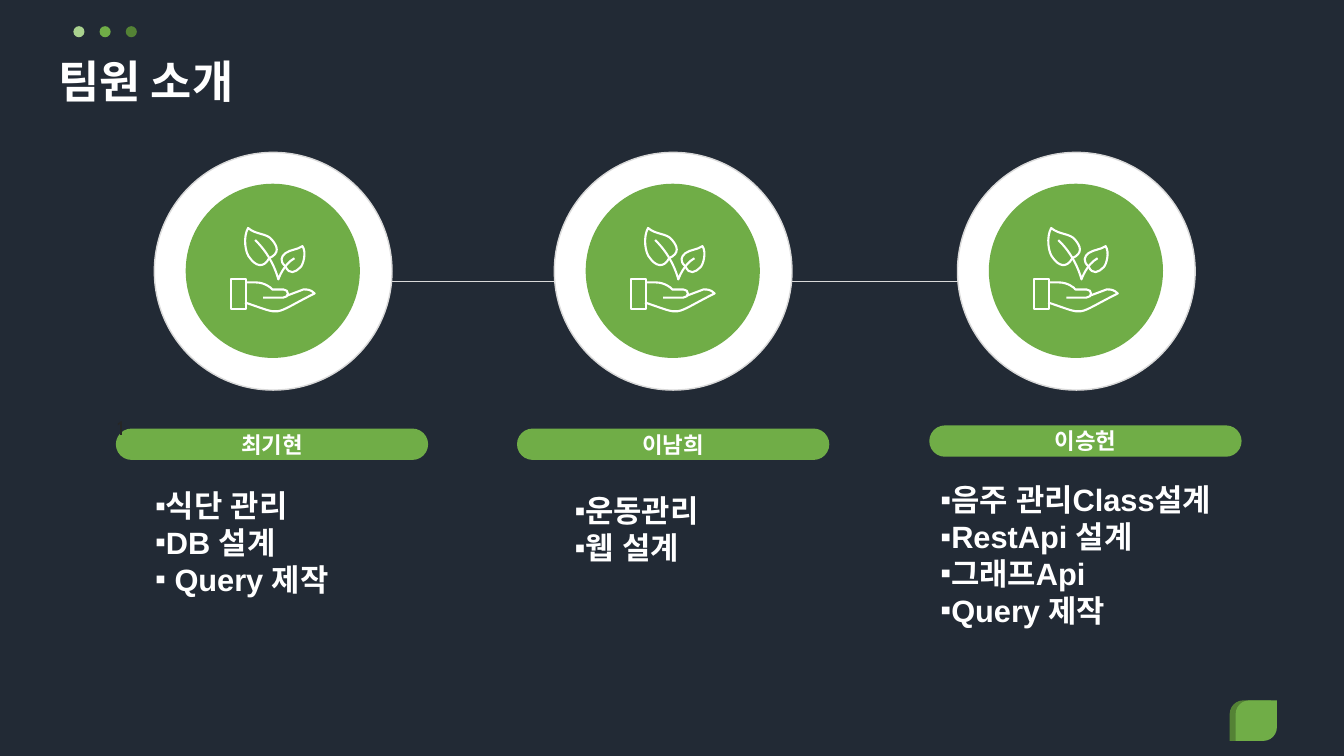
from dataclasses import dataclass

from pptx import Presentation
from pptx.dml.color import RGBColor
from pptx.enum.shapes import MSO_CONNECTOR, MSO_SHAPE
from pptx.enum.text import MSO_ANCHOR, MSO_AUTO_SIZE, PP_ALIGN
from pptx.oxml.ns import qn
from pptx.util import Cm, Pt
from lxml.etree import SubElement


@dataclass(frozen=True)
class Theme:
    back: str = "222A35"
    white: str = "FFFFFF"
    ink: str = "262626"
    pale: str = "A9D18E"
    green: str = "70AD47"
    deep: str = "548235"
    rule: str = "D9D9D9"
    head: str = "Cabin"
    body: str = "Arial"
    title: int = 32
    item: int = 22
    name: int = 16
    mark: int = 14


def write(frame, text, font, size, color, bold=True, align=PP_ALIGN.LEFT,
          anchor=MSO_ANCHOR.TOP, inset=(0, 0), bullet=None, space=None):
    """Fill a text frame, one paragraph per line of text."""
    frame.word_wrap = True
    frame.auto_size = MSO_AUTO_SIZE.NONE
    frame.vertical_anchor = anchor
    frame.margin_left = frame.margin_right = Cm(inset[0])
    frame.margin_top = frame.margin_bottom = Cm(inset[1])
    for i, line in enumerate(text.split("\n")):
        para = frame.add_paragraph() if i else frame.paragraphs[0]
        para.alignment = align
        if space:
            para.line_spacing = space
        if bullet:
            props = para._p.get_or_add_pPr()
            SubElement(props, qn("a:buFont"), typeface=font)
            SubElement(props, qn("a:buChar"), char=bullet)
        run = para.add_run()
        run.text = line
        run.font.name, run.font.size, run.font.bold = font, Pt(size), bold
        run.font.color.rgb = RGBColor.from_string(color)
        SubElement(run.font._element, qn("a:ea"), typeface=font)


def bend(shape):
    """Turn every three line segments into one cubic curve."""
    lines = list(shape._element.iter(qn("a:lnTo")))
    for i in range(0, len(lines), 3):
        curve = lines[i].makeelement(qn("a:cubicBezTo"))
        lines[i].addprevious(curve)
        for line in lines[i:i + 3]:
            curve.append(line[0])
            line.getparent().remove(line)
    return shape


# Icon outlines in hundredths of an inch from the ring corner:
# the start, then two handles and an end for each curve; closed or not
ICON = [
    ([(130, 100), (126, 103), (124, 108), (130, 113),
      (134, 122), (140, 119), (145, 114),
      (148, 111), (151, 99), (147, 93),
      (141, 97), (136, 96), (130, 100)], True),
    ([(117, 87), (122, 93), (125, 100), (114, 105),
      (108, 116), (100, 112), (95, 105),
      (90, 100), (88, 84), (93, 75),
      (101, 82), (112, 80), (117, 87)], True),
    ([(139, 105), (128, 111), (123, 126), (123, 126),
      (123, 126), (118, 104), (100, 87)], False),
    ([(90, 149), (129, 162), (115, 162), (159, 140),
      (155, 136), (152, 136), (148, 136),
      (132, 142), (132, 142), (132, 142)], False),
    ([(90, 129), (101, 129), (101, 129), (101, 129),
      (109, 129), (116, 134), (117, 136),
      (117, 136), (123, 136), (128, 136),
      (134, 136), (134, 144), (128, 144),
      (108, 144), (108, 144), (108, 144)], False),
]


class Page:
    def __init__(self, deck, theme):
        self.theme = theme
        self.slide = deck.slides.add_slide(deck.slide_layouts[5])
        self.shapes = self.slide.shapes
        fill = self.slide.background.fill
        fill.solid()
        fill.fore_color.rgb = RGBColor.from_string(theme.back)

    def paint(self, shape, fill=None, line=None, width=1):
        shape.shadow.inherit = False
        if fill:
            shape.fill.solid()
            shape.fill.fore_color.rgb = RGBColor.from_string(fill)
        else:
            shape.fill.background()
        if line:
            shape.line.color.rgb = RGBColor.from_string(line)
            shape.line.width = Pt(width)
        else:
            shape.line.fill.background()
        return shape

    def shape(self, kind, box, home=None, adjust=(), **look):
        shape = (home or self.shapes).add_shape(kind, *map(Cm, box))
        for i, value in enumerate(adjust):
            shape.adjustments[i] = value
        return self.paint(shape, **look)

    def title(self, text, box):
        head = self.shapes.title
        head.left, head.top, head.width, head.height = map(Cm, box)
        t = self.theme
        write(head.text_frame, text, t.head, t.title, t.white,
              anchor=MSO_ANCHOR.MIDDLE, inset=(0.1, 0), space=0.9)

    def text(self, text, box, **look):
        write(self.shapes.add_textbox(*map(Cm, box)).text_frame, text, **look)

    def line(self, home, left, right, y):
        rule = home.add_connector(
            MSO_CONNECTOR.STRAIGHT, Cm(left), Cm(y), Cm(right), Cm(y))
        rule.line.color.rgb = RGBColor.from_string(self.theme.rule)
        rule.line.width = Pt(0.5)
        SubElement(rule._element.spPr, qn("a:effectLst"))

    def pill(self, name, x, y):
        t = self.theme
        pill = self.shape(MSO_SHAPE.ROUNDED_RECTANGLE, (x, y, 7.87, 0.79),
                          adjust=[0.5], fill=t.green)
        write(pill.text_frame, name, t.head, t.name, t.white,
              align=PP_ALIGN.CENTER, anchor=MSO_ANCHOR.MIDDLE, inset=(0.25, 0.13))

    def badge(self, home, x, y):
        t = self.theme
        self.shape(MSO_SHAPE.OVAL, (x, y, 5.99, 5.99), home,
                   fill=t.white, line=t.rule)
        self.shape(MSO_SHAPE.OVAL, (x + 0.79, y + 0.79, 4.39, 4.39), home,
                   fill=t.green)
        self.shape(MSO_SHAPE.RECTANGLE, (x + 1.93, y + 3.2, 0.38, 0.74), home,
                   line=t.white, width=1.5)
        unit = Cm(2.54) // 100
        for outline, closed in ICON:
            points = [(a * unit, b * unit) for a, b in outline]
            pen = home.build_freeform(*points[0])
            pen.add_line_segments(points[1:], close=closed)
            self.paint(bend(pen.convert_to_shape(Cm(x), Cm(y))),
                       line=t.white, width=1.5)


def main():
    deck = Presentation()
    deck.slide_width, deck.slide_height = Cm(33.87), Cm(19.05)
    t = Theme()
    page = Page(deck, t)

    # Corner leaf and top dots
    for x, color in ((30.99, t.deep), (31.14, t.green)):
        page.shape(MSO_SHAPE.ROUND_2_DIAG_RECTANGLE, (x, 17.65, 1.04, 1.02),
                   adjust=[0.336, 0], fill=color)
    for i, color in enumerate((t.pale, t.green, t.deep)):
        page.shape(MSO_SHAPE.OVAL, (1.85 + 0.66 * i, 0.66, 0.28, 0.28), fill=color)

    page.title("팀원 소개", (1.37, 1.19, 30.48, 1.83))

    # Name pills and the mark on the first
    for name, x, y in (("최기현", 2.92, 10.8), ("이남희", 13.03, 10.8),
                       ("이승헌", 23.42, 10.72)):
        page.pill(name, x, y)
    page.text("1", (2.95, 10.49, 7.87, 6.48), font=t.head, size=t.mark,
              color=t.ink, bold=False)

    # Badges joined by a line
    chain = page.shapes.add_group_shape().shapes
    page.line(chain, 6.73, 26.19, 7.09)
    for x in (3.89, 13.97, 24.13):
        page.badge(chain, x, 3.84)

    # Task lists
    for box, tasks in (
            ((14.48, 12.4, 4.45, 2.31), "운동관리\n웹 설계"),
            ((3.91, 12.27, 5.79, 3.43), "식단 관리\nDB 설계\n Query 제작"),
            ((23.7, 12.12, 7.54, 4.17),
             "음주 관리Class설계\nRestApi 설계\n그래프Api\nQuery 제작")):
        page.text(tasks, box, font=t.body, size=t.item, color=t.white, bullet="▪")

    deck.save("out.pptx")


if __name__ == "__main__":
    main()
